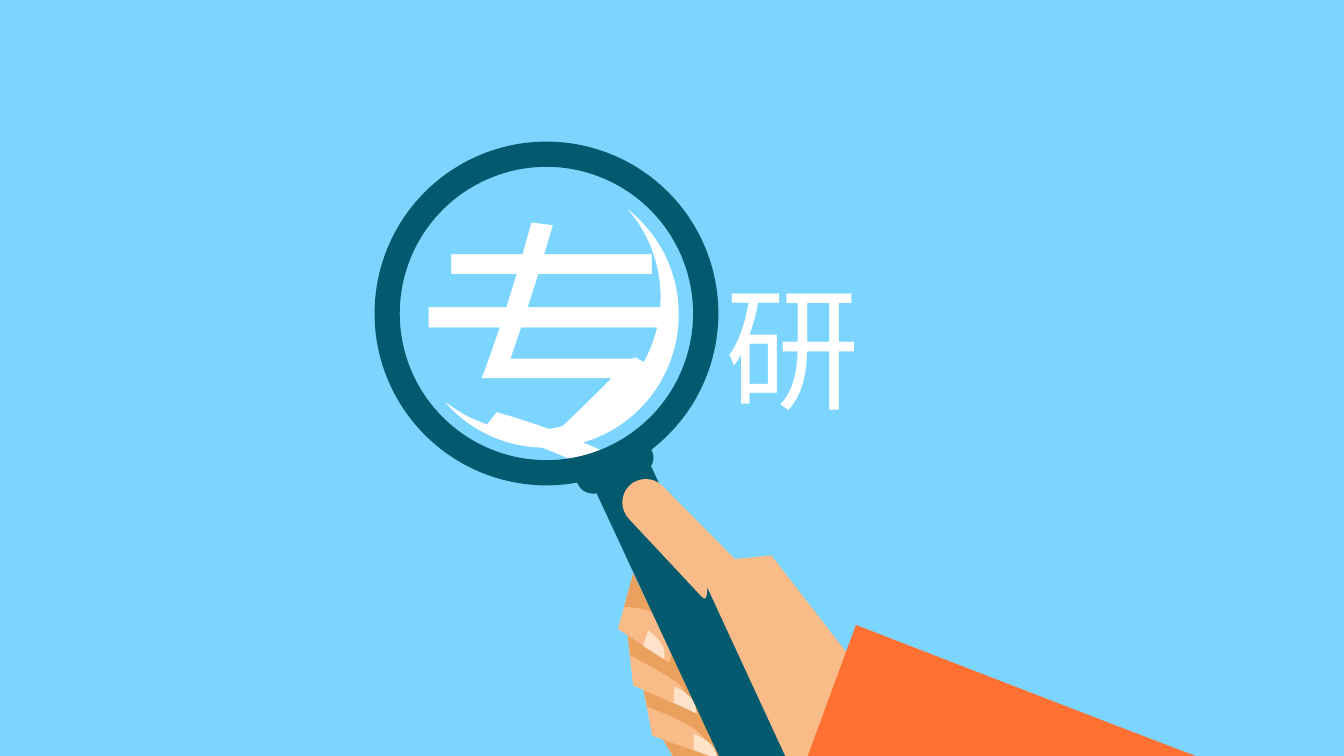
from lxml.etree import SubElement
from pptx import Presentation
from pptx.dml.color import RGBColor
from pptx.enum.shapes import MSO_SHAPE as Preset
from pptx.enum.text import MSO_ANCHOR, MSO_AUTO_SIZE, PP_ALIGN
from pptx.oxml.ns import qn
from pptx.util import Inches, Pt

FONT = "Noto Sans CJK SC"
SKY, WHITE, TEAL, ORANGE = "7BD5FE", "FFFFFF", "03596D", "FF7133"
SKIN, SHADE, NAIL = "F9BB87", "EAA15E", "FFE2CA"
UNITS_PER_INCH = 1000

# (text, points, left, top, width, height)
SMALL_WORD = ("研", 96, 7.1, 2.58, 1.55, 1.72)
LENS_WORD = ("专", 199, 4, 1.73, 2.99, 3.45)

# Lens ring: centre, outer diameter and band width
RING_CENTRE, RING_DIAMETER, RING_BAND = (5.42, 3.11), 3.41, 0.25

# Outlines in inches: a pair is a corner, six numbers are a Bézier curve
GLINT = (WHITE, [
    (6.19, 3.86), (5.72, 4.36, 4.95, 4.41, 4.42, 3.99),
    (4.44, 4.02, 4.47, 4.05, 4.5, 4.08), (5.03, 4.58, 5.87, 4.56, 6.37, 4.03),
    (6.87, 3.5, 6.85, 2.66, 6.32, 2.16), (6.29, 2.13, 6.26, 2.1, 6.23, 2.08),
    (6.67, 2.59, 6.66, 3.36, 6.19, 3.86)])

PALM = [
    (SKIN, [(7.66, 7.83), (8.05, 7.95), (8.25, 7.59), (8.97, 6.78), (8.75, 6.93),
            (7.65, 5.51), (6.36, 5.64), (7.12, 6.2)]),
    (SKIN, [(6.59, 5.4), (6.59, 5.4, 6.78, 5.69, 6.91, 6),
            (7.04, 6.3, 7.13, 6.66, 7.33, 6.83), (8.33, 7.68, 8.63, 6.73, 8.35, 6.45),
            (8.13, 6.24, 6.96, 5.31, 6.96, 5.31)]),
]

FINGERS = [
    # little finger
    (SKIN, [(6.56, 7.31), (6.82, 7.76), (7.44, 7.77),
            (7.44, 7.77, 7.34, 7.54, 7.19, 7.46), (7.08, 7.41, 6.56, 7.31, 6.56, 7.31)]),
    (SHADE, [(7.19, 7.46), (7.08, 7.41, 6.56, 7.31, 6.56, 7.31), (6.7, 7.54),
             (6.91, 7.56, 7.06, 7.58, 7.17, 7.61), (7.22, 7.63, 7.29, 7.7, 7.35, 7.77),
             (7.44, 7.77), (7.44, 7.77, 7.34, 7.54, 7.19, 7.46)]),
    # ring finger
    (SKIN, [(6.35, 6.68), (6.47, 7.3), (7.18, 7.55),
            (7.18, 7.55, 7.16, 7.25, 7.02, 7.1), (6.91, 6.99, 6.35, 6.68, 6.35, 6.68)]),
    (SHADE, [(7.02, 7.1), (6.91, 6.99, 6.35, 6.68, 6.35, 6.68), (6.42, 7.01),
             (6.65, 7.1, 6.83, 7.18, 6.93, 7.26), (6.98, 7.31, 7.03, 7.41, 7.08, 7.52),
             (7.18, 7.55), (7.18, 7.55, 7.16, 7.25, 7.02, 7.1)]),
    (NAIL, [(7.12, 7.53), (7.11, 7.5, 7.1, 7.46, 7.09, 7.44),
            (7.06, 7.35, 6.88, 7.28, 6.88, 7.28), (6.88, 7.44)]),
    # middle finger
    (SKIN, [(6.21, 6.17), (6.28, 6.8), (6.97, 7.1),
            (6.97, 7.1, 6.97, 6.8, 6.84, 6.64), (6.74, 6.52, 6.21, 6.17, 6.21, 6.17)]),
    (SHADE, [(6.84, 6.64), (6.74, 6.52, 6.21, 6.17, 6.21, 6.17), (6.25, 6.5),
             (6.47, 6.62, 6.64, 6.71, 6.74, 6.79), (6.79, 6.84, 6.84, 6.95, 6.88, 7.06),
             (6.97, 7.1), (6.97, 7.1, 6.97, 6.8, 6.84, 6.64)]),
    (NAIL, [(6.91, 7.08), (6.91, 7.04, 6.9, 7.01, 6.89, 6.98),
            (6.86, 6.89, 6.69, 6.81, 6.69, 6.81), (6.68, 6.97)]),
    # index finger
    (SKIN, [(6.28, 5.69), (6.13, 6.24), (6.63, 6.57),
            (6.63, 6.57, 6.73, 6.4, 6.62, 6.22), (6.53, 6.09, 6.46, 6.06, 6.46, 6.06)]),
    (NAIL, [(6.38, 6.41), (6.59, 6.54), (6.59, 6.51, 6.59, 6.48, 6.59, 6.46),
            (6.58, 6.37, 6.43, 6.25, 6.43, 6.25)]),
    (SHADE, [(6.28, 5.69), (6.19, 6.02), (6.35, 6.03, 6.44, 6.04, 6.54, 6.13),
             (6.55, 6.15, 6.57, 6.16, 6.58, 6.18), (6.51, 6.08, 6.46, 6.06, 6.46, 6.06)]),
]

SLEEVE = (ORANGE, [
    (7.74, 8.24), (8.03, 8.55, 10.31, 9.11, 10.87, 8.73),
    (11.61, 8.62, 13.26, 8.23, 12.97, 7.92), (11.96, 7.55, 8.49, 6.2, 8.49, 6.2)])

HANDLE = (TEAL, [
    (7.82, 7.57), (7.87, 7.67, 7.78, 7.8, 7.63, 7.87), (7.48, 7.94, 7.32, 7.92, 7.28, 7.82),
    (5.86, 4.77), (5.82, 4.68, 5.95, 4.63, 6.1, 4.57), (6.25, 4.5, 6.36, 4.42, 6.41, 4.52)])

THUMB = (SKIN, [
    (7.61, 5.87), (7.7, 5.96, 7.16, 5.56, 7.07, 5.65), (6.98, 5.74, 7.05, 6.01, 6.96, 5.92),
    (6.24, 5.15), (6.15, 5.06, 6.15, 4.91, 6.24, 4.82), (6.33, 4.73, 6.48, 4.73, 6.57, 4.82)])

COLLAR = (TEAL, [
    (6.46, 4.46), (6.51, 4.55, 6.47, 4.65, 6.38, 4.69), (5.96, 4.88),
    (5.88, 4.92, 5.77, 4.89, 5.73, 4.8), (5.69, 4.71, 5.73, 4.61, 5.82, 4.57),
    (6.23, 4.37), (6.32, 4.33, 6.42, 4.37, 6.46, 4.46)])


def rgb(hex_code):
    return RGBColor.from_string(hex_code)


def paint(shape, colour):
    shape.shadow.inherit = False
    shape.fill.solid()
    shape.fill.fore_color.rgb = rgb(colour)
    shape.line.fill.background()


def draw_outline(slide, colour, outline):
    """Draw the corners as a freeform, then bend the curved segments."""
    corners = [tuple(v * UNITS_PER_INCH for v in part[-2:]) for part in outline]
    builder = slide.shapes.build_freeform(*corners[0], scale=Inches(1) / UNITS_PER_INCH)
    builder.add_line_segments(corners[1:], close=True)
    shape = builder.convert_to_shape()
    left, top = (min(axis) for axis in zip(*corners))
    segments = list(shape._element.iter(qn("a:lnTo")))
    for segment, part in zip(segments, outline[1:]):
        if len(part) == 6:
            bend = segment.makeelement(qn("a:cubicBezTo"))
            for x, y in zip(part[::2], part[1::2]):
                SubElement(bend, qn("a:pt"), x=str(round(x * UNITS_PER_INCH - left)),
                           y=str(round(y * UNITS_PER_INCH - top)))
            segment.getparent().replace(segment, bend)
    paint(shape, colour)


def write_word(holder, text, points, left, top, width, height):
    holder.left, holder.top = Inches(left), Inches(top)
    holder.width, holder.height = Inches(width), Inches(height)
    frame = holder.text_frame
    frame.text = text
    frame.word_wrap = False
    frame.auto_size = MSO_AUTO_SIZE.SHAPE_TO_FIT_TEXT
    frame.vertical_anchor = MSO_ANCHOR.TOP
    paragraph = frame.paragraphs[0]
    paragraph.alignment = PP_ALIGN.LEFT
    paragraph.line_spacing = 1.0
    font = paragraph.runs[0].font
    font.size, font.name = Pt(points), FONT
    font.color.rgb = rgb(WHITE)
    SubElement(font._element, qn("a:ea"), typeface=FONT)


def main():
    deck = Presentation()
    deck.slide_width, deck.slide_height = Inches(13.33), Inches(7.5)
    slide = deck.slides.add_slide(deck.slide_layouts[5])
    slide.background.fill.solid()
    slide.background.fill.fore_color.rgb = rgb(SKY)

    write_word(slide.shapes.title, *SMALL_WORD)
    for colour, outline in [GLINT, *PALM, *FINGERS, SLEEVE]:
        draw_outline(slide, colour, outline)
    write_word(slide.shapes.add_textbox(0, 0, 0, 0), *LENS_WORD)
    for colour, outline in [HANDLE, THUMB, COLLAR]:
        draw_outline(slide, colour, outline)

    left, top = (Inches(c - RING_DIAMETER / 2) for c in RING_CENTRE)
    diameter = Inches(RING_DIAMETER)
    ring = slide.shapes.add_shape(Preset.DONUT, left, top, diameter, diameter)
    ring.adjustments[0] = RING_BAND / RING_DIAMETER
    paint(ring, TEAL)

    deck.save("out.pptx")


if __name__ == "__main__":
    main()
